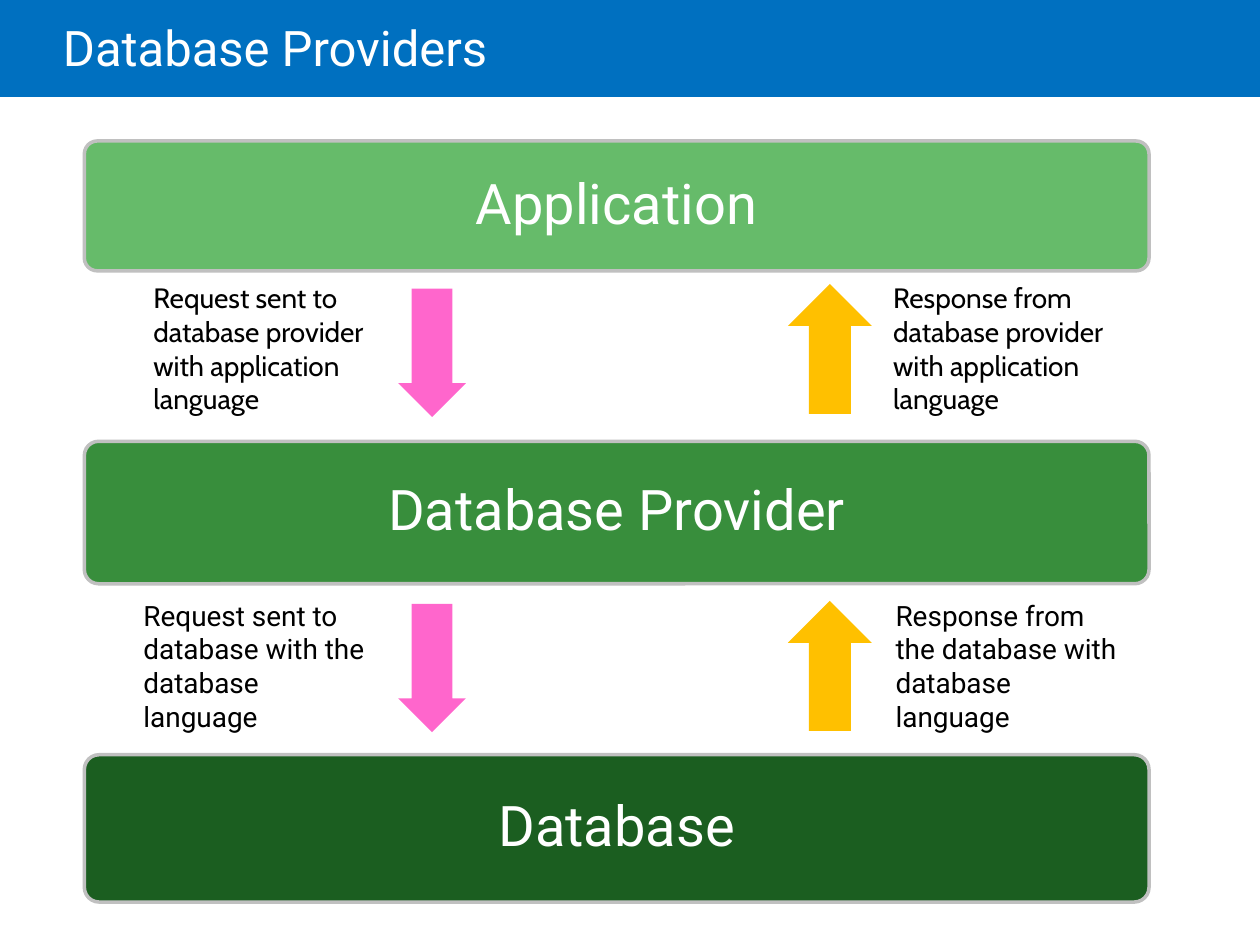
from pptx import Presentation
from pptx.dml.color import RGBColor
from pptx.enum.shapes import MSO_SHAPE
from pptx.enum.text import MSO_ANCHOR, PP_ALIGN
from pptx.util import Pt

RECT, ROUND = MSO_SHAPE.RECTANGLE, MSO_SHAPE.ROUNDED_RECTANGLE
DOWN, UP = MSO_SHAPE.DOWN_ARROW, MSO_SHAPE.UP_ARROW
TOP, MIDDLE = MSO_ANCHOR.TOP, MSO_ANCHOR.MIDDLE
LEFT, CENTER = PP_ALIGN.LEFT, PP_ALIGN.CENTER

COLORS = {
    "header": "0070C0", "application": "66BB6A", "provider": "388E3C",
    "database": "1B5E20", "border": "C0C0C0", "request": "FF66CC",
    "response": "FFC000", "white": "FFFFFF", "black": "000000",
}
TITLE = "Database Providers"
LAYERS = [
    ("Application", "application", 80.6, 74.2),
    ("Database Provider", "provider", 252.2, 81.4),
    ("Database", "database", 431.3, 84.2),
]
NOTES = [
    ("Request sent to database provider with application language",
     "Cabin", (80.6, 157, 157, 85)),
    ("Response from database provider with application language",
     "Cabin", (503.3, 157, 157, 85)),
    ("Request sent to database with the database language",
     "Roboto", (74.9, 338.4, 145.4, 85)),
    ("Response from the database with database language",
     "Roboto", (504.7, 338.4, 146.9, 85)),
]
ARROWS = [
    (DOWN, "request", 227.6, (164.9, 345), 38.6, 73.4, (0.6, 0.5)),
    (UP, "response", 450.2, (162.3, 343.4), 48, 74.2, (0.5, 0.5)),
]
LAYER_LEFT, LAYER_WIDTH = 48.2, 608.4


def rgb(name):
    return RGBColor.from_string(COLORS[name])


def add_block(slide, kind, box, fill, adjustments=(), border=None):
    s = slide.shapes.add_shape(kind, *map(Pt, box))
    s.shadow.inherit = False
    s.fill.solid()
    s.fill.fore_color.rgb = rgb(fill)
    for i, value in enumerate(adjustments):
        s.adjustments[i] = value
    if border:
        s.line.color.rgb = rgb(border)
        s.line.width = Pt(2)
    else:
        s.line.fill.background()
    return s


def write(s, text, font, size, color, anchor=TOP, align=LEFT, spacing=1.0,
          insets=(7.2, 3.6, 7.2, 3.6)):
    tf = s.text_frame
    sides = ("margin_left", "margin_top", "margin_right", "margin_bottom")
    settings = dict(zip(sides, map(Pt, insets)))
    settings.update(word_wrap=True, vertical_anchor=anchor)
    for name, value in settings.items():
        setattr(tf, name, value)
    p = tf.paragraphs[0]
    p.alignment, p.line_spacing = align, spacing
    r = p.add_run()
    r.text = text
    for name, value in {"name": font, "size": Pt(size)}.items():
        setattr(r.font, name, value)
    r.font.color.rgb = rgb(color)


def main():
    prs = Presentation()
    prs.slide_width, prs.slide_height = Pt(720), Pt(540)
    slide = prs.slides.add_slide(prs.slide_layouts[6])

    add_block(slide, RECT, (0, 0, 720, 55.4), "header")
    title = slide.shapes.add_textbox(Pt(36), Pt(0), Pt(612), Pt(58.3))
    write(title, TITLE, "Roboto", 28, "white", MIDDLE, spacing=0.85,
          insets=(0, 3.6, 7.2, 3.6))

    for text, fill, top, height in LAYERS:
        s = add_block(slide, ROUND, (LAYER_LEFT, top, LAYER_WIDTH, height),
                      fill, (0.1,), "border")
        write(s, text, "Roboto", 32, "white", MIDDLE, CENTER, 0.9, (9.4,) * 4)

    for text, font, box in NOTES:
        write(slide.shapes.add_textbox(*map(Pt, box)), text, font, 16, "black")

    for kind, fill, left, tops, width, height, adjustments in ARROWS:
        for top in tops:
            add_block(slide, kind, (left, top, width, height), fill, adjustments)

    prs.save("out.pptx")


if __name__ == "__main__":
    main()
